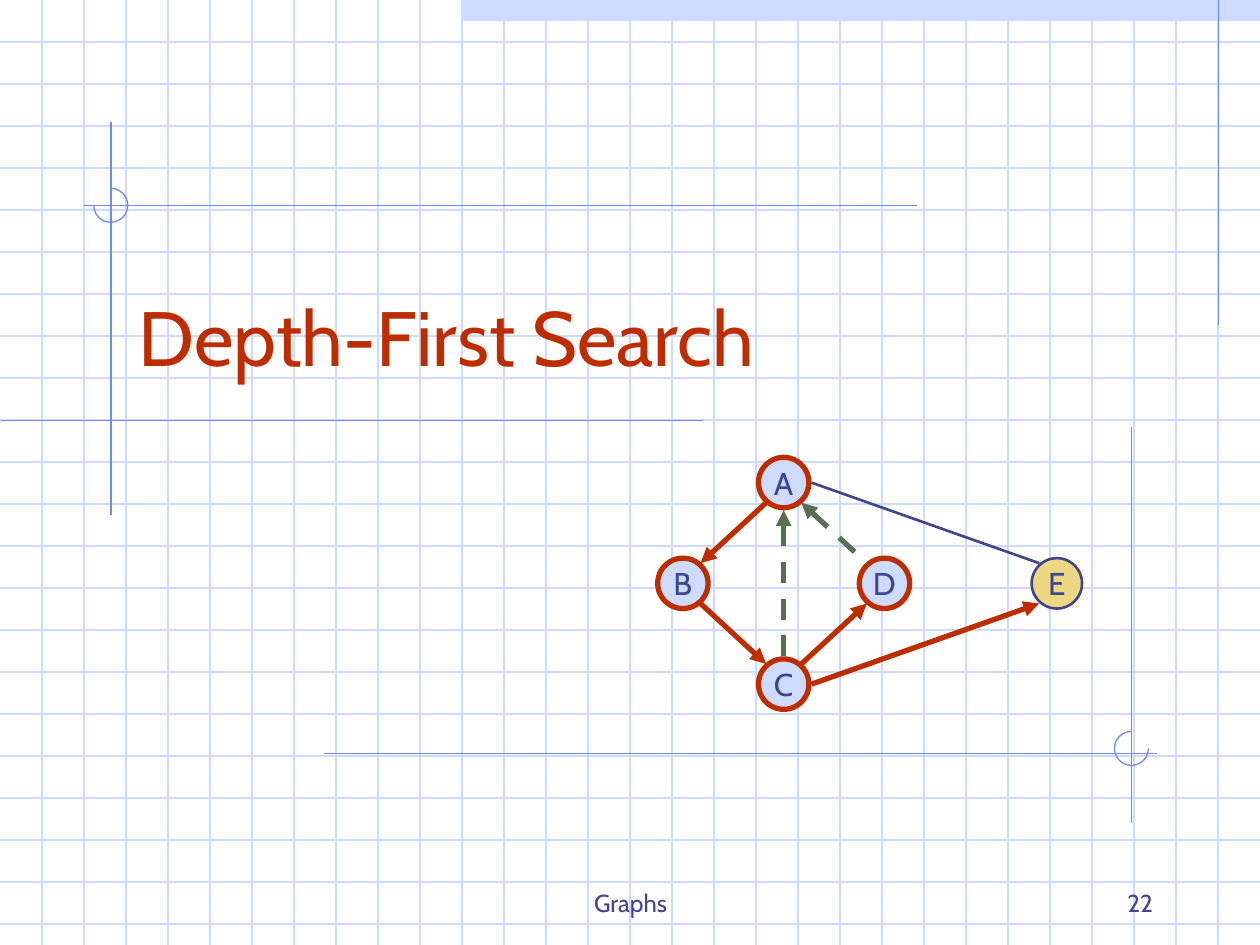
from lxml import etree
from pptx import Presentation
from pptx.dml.color import RGBColor
from pptx.enum.dml import MSO_LINE
from pptx.enum.shapes import MSO_CONNECTOR, MSO_SHAPE
from pptx.enum.text import MSO_ANCHOR, MSO_AUTO_SIZE, PP_ALIGN
from pptx.oxml.ns import qn
from pptx.util import Inches, Pt

STRAIGHT = MSO_CONNECTOR.STRAIGHT
RECTANGLE, OVAL, ARC = MSO_SHAPE.RECTANGLE, MSO_SHAPE.OVAL, MSO_SHAPE.ARC
LEFT, CENTER, RIGHT = PP_ALIGN.LEFT, PP_ALIGN.CENTER, PP_ALIGN.RIGHT
BOTTOM, MIDDLE = MSO_ANCHOR.BOTTOM, MSO_ANCHOR.MIDDLE
DASH = MSO_LINE.DASH
NO_RESIZE = MSO_AUTO_SIZE.NONE

WIDTH, HEIGHT = 10, 7.5
CELL = 1 / 3
FONT = "Cabin"
PALE, BLUE, NAVY = "CFDBFD", "6F89F7", "40458C"
RED, GREEN, YELLOW = "BE2D00", "577052", "ECD882"

TITLE = ("Depth-First Search", 1, 1.83, 8.5, 1.25)
FOOTERS = [
    ("Graphs", 3.42, 3.17, CENTER),
    ("22", 7.17, 2.08, RIGHT),
]
RULES = [
    (9.67, 0, 9.67, 2.58),
    (0.88, 0.97, 0.88, 4.09),
    (5.58, 3.34, 0.01, 3.34),
    (7.28, 1.63, 0.67, 1.63),
    (2.57, 5.98, 9.18, 5.98),
    (8.98, 3.39, 8.98, 6.53),
]
ARCS = [(0.88, 1.63, 270, 180), (8.98, 5.94, 0, 270)]
ARC_SIZE = 0.27

GRAPH_X, GRAPH_Y, STEP = 6.22, 4.63, 0.8
NODE_SIZE = 0.4
NODES = {
    "D": (1, 0, PALE, RED, 3),
    "B": (-1, 0, PALE, RED, 3),
    "A": (0, -1, PALE, RED, 3),
    "C": (0, 1, PALE, RED, 3),
    "E": (2.71, 0, YELLOW, NAVY, 1.5),
}
EDGES = [
    ("A", (-1, 1), "B", (1, -1), RED, 3, None, "tailEnd"),
    ("C", (-1, -1), "B", (1, 1), RED, 3, None, "headEnd"),
    ("C", (1, -1), "D", (-1, 1), RED, 3, None, "tailEnd"),
    ("A", (1, 1), "D", (-1, -1), GREEN, 3, DASH, "headEnd"),
    ("A", (0, 1), "C", (0, -1), GREEN, 3, DASH, "headEnd"),
    ("C", (1, 0), "E", (-1, 1), RED, 3, None, "tailEnd"),
    ("E", (-1, -1), "A", (1, 0), NAVY, 1.5, None, None),
]


def color(value):
    return RGBColor.from_string(value)


def add_line(page, ends, line_color, width=0.75, dash=None, arrow=None):
    line = page.shapes.add_connector(STRAIGHT, *[Inches(end) for end in ends])
    line.line.color.rgb = color(line_color)
    line.line.width = Pt(width)
    if dash:
        line.line.dash_style = dash
    properties = line.element.spPr
    if arrow:
        etree.SubElement(properties.find(qn("a:ln")), qn("a:" + arrow), type="triangle")
    etree.SubElement(properties, qn("a:effectLst"))


def add_shape(page, kind, place, fill=None, line_color=None, width=0.75):
    shape = page.shapes.add_shape(kind, *[Inches(part) for part in place])
    shape.shadow.inherit = False
    if fill:
        shape.fill.solid()
        shape.fill.fore_color.rgb = color(fill)
    else:
        shape.fill.background()
    if line_color:
        shape.line.color.rgb = color(line_color)
        shape.line.width = Pt(width)
    else:
        shape.line.fill.background()
    return shape


def write(box, text, size, text_color, align, anchor, wrap=True):
    frame = box.text_frame
    frame.word_wrap = wrap
    frame.auto_size = NO_RESIZE
    frame.vertical_anchor = anchor
    para = frame.paragraphs[0]
    para.alignment = align
    span = para.add_run()
    span.text = text
    span.font.name = FONT
    span.font.size = Pt(size)
    span.font.color.rgb = color(text_color)


def node_center(name):
    column, row = NODES[name][:2]
    return GRAPH_X + column * STEP, GRAPH_Y + row * STEP


def port(name, side):
    x, y = node_center(name)
    reach_x, reach_y = (0.14, 0.16) if all(side) else (0.22, 0.22)
    return x + side[0] * reach_x, y + side[1] * reach_y


def add_background(page):
    add_shape(page, RECTANGLE, (11 * CELL, 0, WIDTH - 11 * CELL, CELL / 2), PALE)
    for row in range(1, 23):
        add_line(page, (0, row * CELL, WIDTH, row * CELL), PALE)
    for column in range(1, 30):
        add_line(page, (column * CELL, 0, column * CELL, HEIGHT), PALE)
    for ends in RULES:
        add_line(page, ends, BLUE)
    for x, y, start, stop in ARCS:
        place = (x - ARC_SIZE / 2, y - ARC_SIZE / 2, ARC_SIZE, ARC_SIZE)
        arc = add_shape(page, ARC, place, None, BLUE)
        arc.adjustments[0] = start * 0.6
        arc.adjustments[1] = stop * 0.6


def add_title(page):
    text, *place = TITLE
    title = page.shapes.title
    title.left, title.top, title.width, title.height = [Inches(part) for part in place]
    write(title, text, 44, RED, LEFT, BOTTOM)
    page.shapes.element.append(title.element)


def add_graph(page):
    for name, (_, _, fill, line_color, width) in NODES.items():
        x, y = node_center(name)
        place = (x - NODE_SIZE / 2, y - NODE_SIZE / 2, NODE_SIZE, NODE_SIZE)
        node = add_shape(page, OVAL, place, fill, line_color, width)
        write(node, name, 18, NAVY, CENTER, MIDDLE, False)
    for first, first_side, second, second_side, *style in EDGES:
        add_line(page, port(first, first_side) + port(second, second_side), *style)


def add_footers(page):
    for text, left, width, align in FOOTERS:
        box = page.shapes.add_textbox(Inches(left), Inches(6.83), Inches(width), Inches(0.5))
        write(box, text, 14, NAVY, align, BOTTOM)


def main():
    deck = Presentation()
    deck.slide_width, deck.slide_height = Inches(WIDTH), Inches(HEIGHT)
    page = deck.slides.add_slide(deck.slide_layouts[5])
    add_background(page)
    add_title(page)
    add_graph(page)
    add_footers(page)
    deck.save("out.pptx")


if __name__ == "__main__":
    main()
